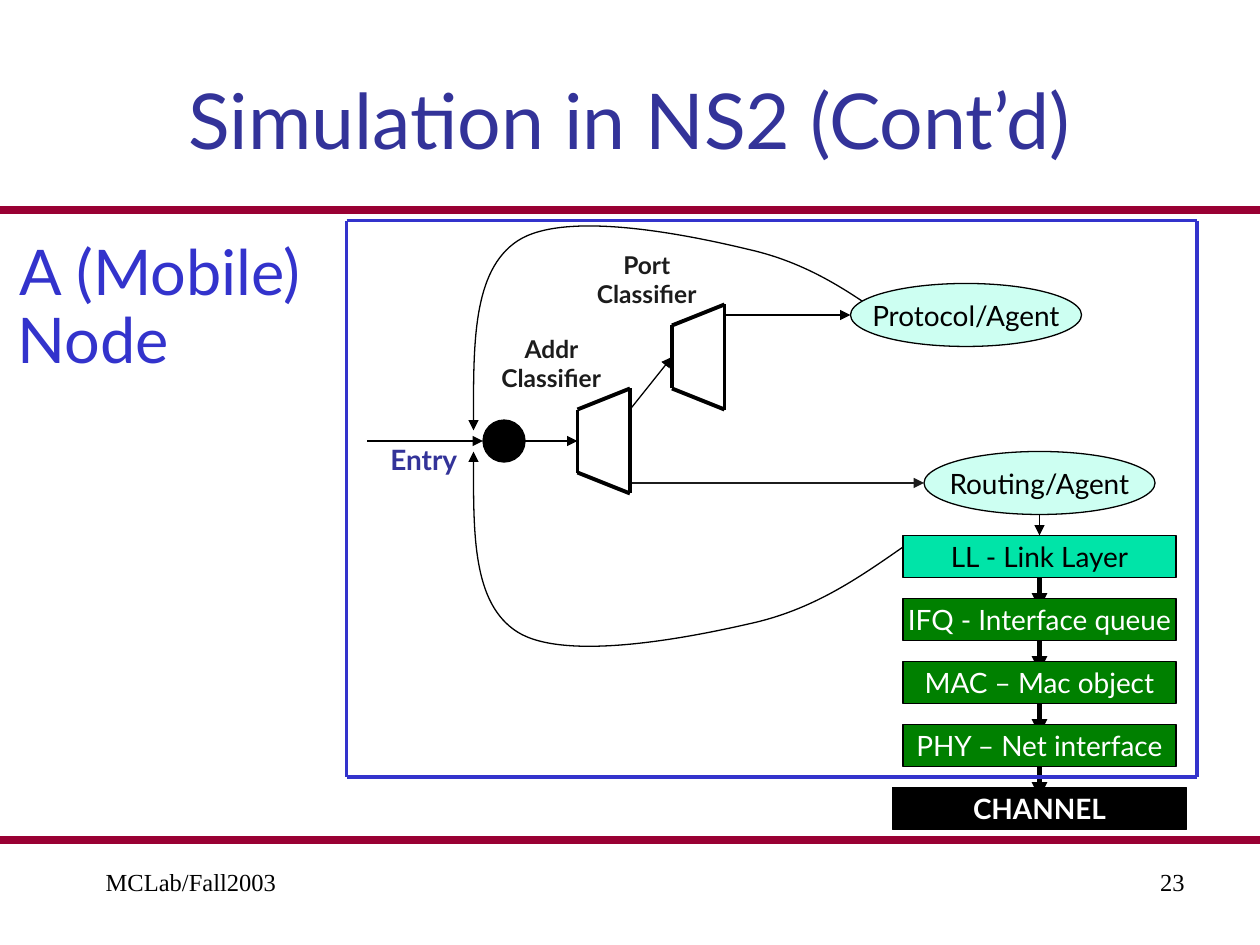
import pptx
import pptx.util
import pptx.dml.color
import pptx.enum.shapes
import pptx.enum.text
import pptx.oxml.ns
from lxml import etree

RGB = pptx.dml.color.RGBColor
BLACK, WHITE = RGB(0, 0, 0), RGB(255, 255, 255)
MAROON = RGB(0x99, 0x00, 0x33)
NAVY = RGB(0x33, 0x33, 0x99)
BLUE = RGB(0x33, 0x33, 0xCC)
DARK = RGB(0x1C, 0x1C, 0x1C)
MINT = RGB(0xCD, 0xFF, 0xF2)
TEAL = RGB(0x00, 0xE4, 0xA8)
GREEN = RGB(0x00, 0x80, 0x00)

SHAPE = pptx.enum.shapes.MSO_SHAPE
STRAIGHT = pptx.enum.shapes.MSO_CONNECTOR.STRAIGHT
ANCHOR = pptx.enum.text.MSO_ANCHOR
FIT = pptx.enum.text.MSO_AUTO_SIZE
ALIGN = pptx.enum.text.PP_ALIGN
Pt = pptx.util.Pt
qn = pptx.oxml.ns.qn

prs = pptx.Presentation()
prs.slide_width, prs.slide_height = pptx.util.Inches(10), pptx.util.Inches(7.5)
s = prs.slides.add_slide(prs.slide_layouts[5])
U = prs.slide_width / 120  # grid of 120 columns by 90 rows


def outline(sp, colour, width, arrow=False):
    """Line format without shadow, with an arrowhead at the end if wanted."""
    sp.line.color.rgb = colour
    sp.line.width = Pt(width)
    if arrow:
        ln = sp.line._get_or_add_ln()
        etree.SubElement(ln, qn("a:tailEnd"), type="triangle")
    etree.SubElement(sp._element.spPr, qn("a:effectLst"))


def write(sp, text, colour, size=16, bold=False, name="Lato",
          align=ALIGN.CENTER, wrap=False, anchor=ANCHOR.MIDDLE, fit=FIT.NONE):
    tf = sp.text_frame
    frame = {"word_wrap": wrap, "vertical_anchor": anchor, "auto_size": fit}
    for key, value in frame.items():
        setattr(tf, key, value)
    p = tf.paragraphs[0]
    p.alignment = align
    r = p.add_run()
    r.text = text
    for key, value in {"size": Pt(size), "bold": bold, "name": name}.items():
        setattr(r.font, key, value)
    r.font.color.rgb = colour


# Title
title = s.shapes.title
box = {"left": 6, "top": 4, "width": 108, "height": 14.6}
for key, value in box.items():
    setattr(title, key, int(value * U))
write(title, "Simulation in NS2 (Cont’d)", NAVY, 44, wrap=True)

# Loops back to the entry: the upper one is the lower one mirrored, 5 % taller
lower = [(86, 52.1), (81.7, 55.1), (77.4, 58.1), (71.4, 59.4), (65.3, 60.8),
         (53.8, 63), (49.3, 60.2), (45, 57.5), (45.1, 50.3), (45.1, 43)]
upper = [(x, 41 - 1.05 * (y - 43)) for x, y in lower]
for points in (lower, upper):
    pts = [(x * U, y * U) for x, y in points]
    fb = s.shapes.build_freeform(*pts[0])
    fb.add_line_segments(pts[1:], close=False)
    sp = fb.convert_to_shape()
    sp.fill.background()
    outline(sp, BLACK, 0.75, arrow=True)
    # Every three points make one cubic segment
    path = sp._element.find(".//" + qn("a:path"))
    for i, segment in enumerate(path.findall(qn("a:lnTo"))):
        if i % 3 == 0:
            curve = etree.SubElement(path, qn("a:cubicBezTo"))
        curve.append(segment[0])
        path.remove(segment)

# Protocol stack: each arrow runs from one layer to just under the next
layers = [("LL - Link Layer", TEAL, BLACK),
          ("IFQ - Interface queue", GREEN, WHITE),
          ("MAC – Mac object", GREEN, WHITE),
          ("PHY – Net interface", GREEN, WHITE),
          ("CHANNEL", BLACK, WHITE)]
for i, (text, fill, colour) in enumerate(layers):
    last = text == "CHANNEL"
    left, width, row = (85, 28, 51 + 6 * i) if last else (86, 26, 51 + 6 * i)
    sp = s.shapes.add_shape(SHAPE.RECTANGLE, int(left * U), int(row * U),
                            int(width * U), int(4 * U))
    sp.fill.solid()
    sp.fill.fore_color.rgb = fill
    outline(sp, BLACK, 0.75)
    write(sp, text, colour, bold=last)
    if i == 0:
        c = s.shapes.add_connector(STRAIGHT, *[int(v * U) for v in (99, 48, 99, 51)])
        c.end_connect(sp, 0)
        outline(c, BLACK, 0.75, arrow=True)
    if not last:
        c = s.shapes.add_connector(STRAIGHT, *[int(v * U) for v in (99, row + 4, 99, row + 7)])
        c.begin_connect(sp, 2)
        outline(c, BLACK, 3, arrow=True)

# Agents and entry point
for text, fill, *place in [("Protocol/Agent", MINT, 81, 27, 22, 6),
                           ("Routing/Agent", MINT, 88, 43, 22, 6),
                           ("", BLACK, 46, 40, 4, 4)]:
    sp = s.shapes.add_shape(SHAPE.OVAL, *[int(v * U) for v in place])
    sp.fill.solid()
    sp.fill.fore_color.rgb = fill
    outline(sp, BLACK, 0.75)
    if text:
        write(sp, text, BLACK)

# Straight lines: slide rules, flow arrows, classifiers and node frame
lines = [(0, 20, 120, 20, MAROON, 4.5, False),
         (0, 80, 120, 80, MAROON, 4.5, False),
         (35, 42, 46, 42, BLACK, 0.75, True),
         (50, 42, 55, 42, BLACK, 0.75, True),
         (60, 39, 64, 34, BLACK, 0.75, True),
         (69, 30, 81, 30, BLACK, 0.75, True),
         (60, 46, 88, 46, DARK, 0.75, True)]
outlines = [([(x, y - 3), (x + 5, y - 5), (x + 5, y + 5), (x, y + 3)], BLACK)
            for x, y in [(55, 42), (64, 34)]]
outlines.append(([(33, 21), (114, 21), (114, 74), (33, 74)], BLUE))
for corners, colour in outlines:
    for start, end in zip(corners, corners[1:] + corners[:1]):
        lines.append((*start, *end, colour, 2.25, False))
for *ends, colour, width, arrow in lines:
    c = s.shapes.add_connector(STRAIGHT, *[int(v * U) for v in ends])
    outline(c, colour, width, arrow)

# Labels
small = {"size": 14, "bold": True, "wrap": True}
large = {"size": 36, "align": ALIGN.LEFT}
for text, colour, place, fmt in [
        ("Addr Classifier", DARK, (45, 31.2, 15, 6.8), small),
        ("Port Classifier", DARK, (54, 23.2, 15.2, 6.8), small),
        ("Entry", NAVY, (36, 41.6, 9.5, 4.4), {"bold": True, "align": ALIGN.LEFT}),
        ("A (Mobile)", BLUE, (0.7, 21.6, 30.6, 8.4), large),
        ("Node", BLUE, (0.5, 28, 17.6, 8.4), large)]:
    sp = s.shapes.add_textbox(*[int(v * U) for v in place])
    write(sp, text, colour, anchor=ANCHOR.TOP, fit=FIT.SHAPE_TO_FIT_TEXT, **fmt)

# Footer and slide number
for text, left, align in [("MCLab/Fall2003", 6, ALIGN.LEFT), ("23", 86, ALIGN.RIGHT)]:
    sp = s.shapes.add_textbox(*[int(v * U) for v in (left, 82, 28, 6.2)])
    write(sp, text, BLACK, 14, name="Times New Roman", align=align,
          wrap=True, anchor=ANCHOR.TOP)
    pPr = sp.text_frame.paragraphs[0]._p.get_or_add_pPr()
    pPr.set("marL", str(pptx.util.Inches(0.24)))
    pPr.set("indent", "0")

prs.save("out.pptx")
